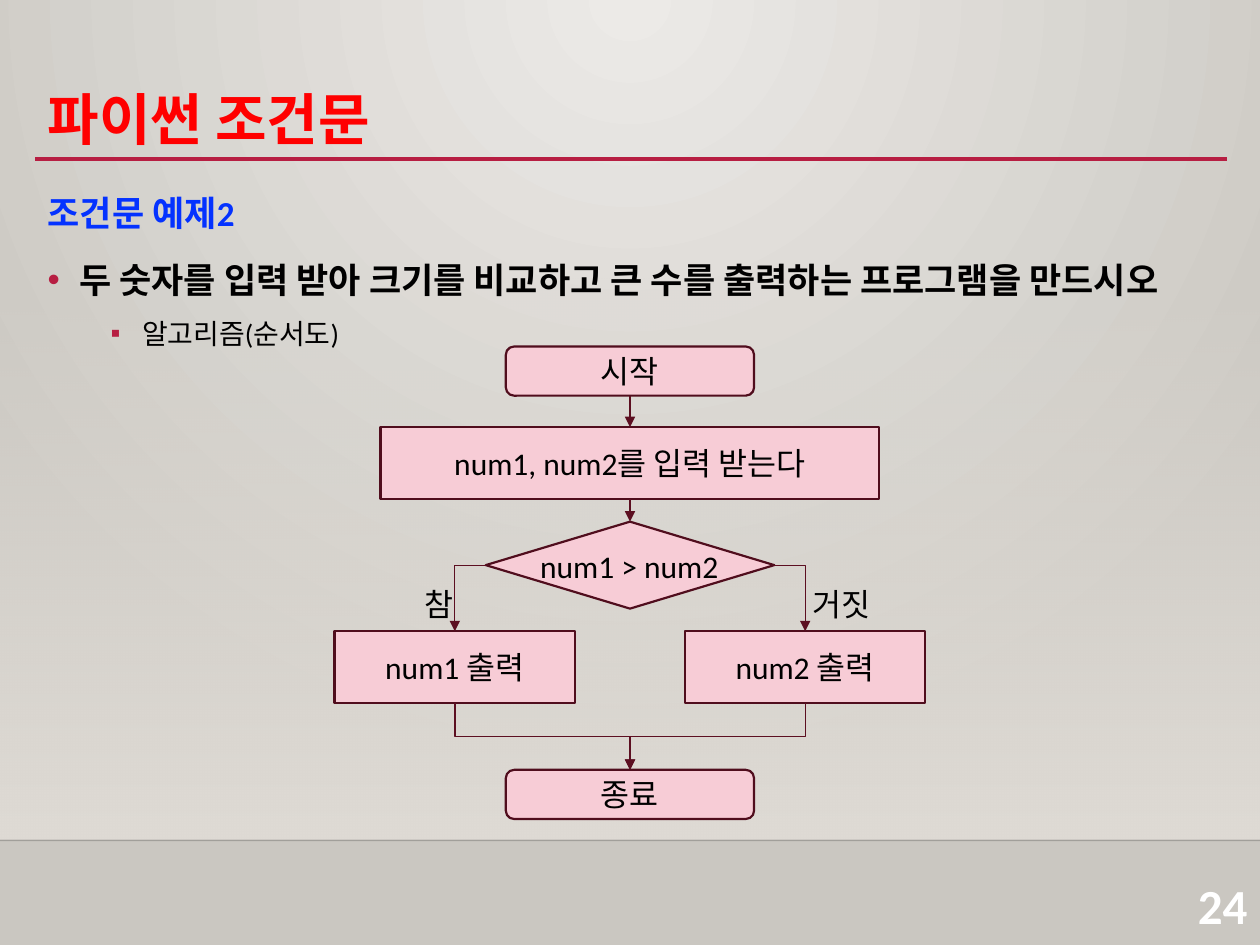
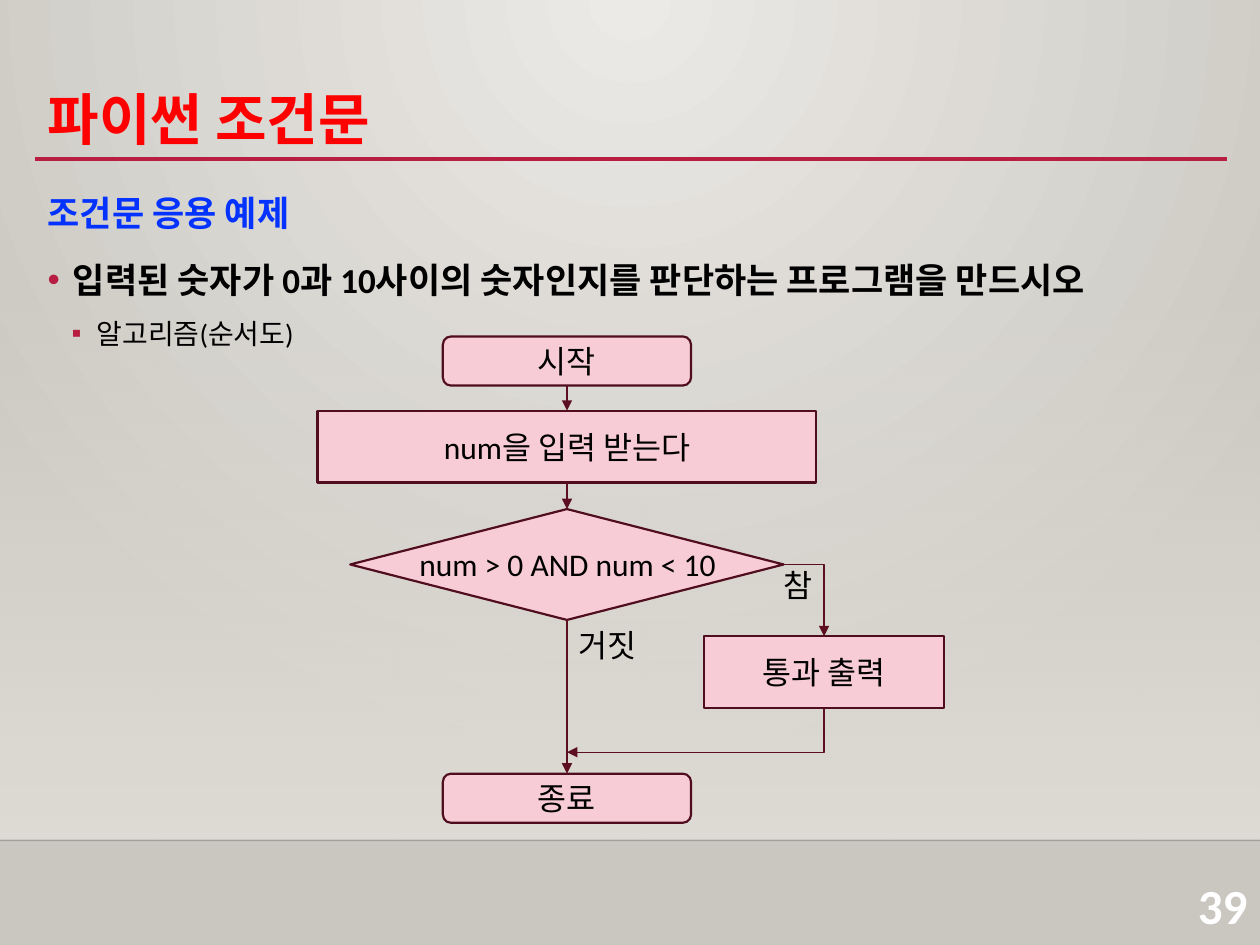
from dataclasses import dataclass

from lxml import etree
from pptx import Presentation, util as u
from pptx.dml.color import RGBColor
from pptx.enum import shapes, text
from pptx.oxml.ns import qn

Inches = u.Inches
KIND = shapes.MSO_SHAPE
ALIGN = text.PP_ALIGN


@dataclass(frozen=True)
class Theme:
    font: str = "Calibri"
    glow: str = "ECEAE7"
    edge: str = "CAC7C1"
    floor: str = "DFDBD5"
    dark: str = "000001"
    ink: str = "000000"
    white: str = "FFFFFF"
    title: str = "FF0000"
    head: str = "0432FF"
    accent: str = "B71E42"
    fill: str = "F7CCD6"
    border: str = "500D1D"
    arrow: str = "5C0F21"
    title_pt: int = 32
    page_pt: int = 28
    body_pt: int = 20
    flow_pt: int = 18
    sub_pt: int = 16


def add(parent, tag, **attrs):
    return etree.SubElement(parent, qn(tag), attrs)


def fade(shape, percent):
    """Make the first colour of a shape partly transparent."""
    color = next(shape.element.iter(qn("a:srgbClr")))
    add(color, "a:alpha", val=str(percent * 1000))


class Deck:
    # Box sizes of the flowchart
    END = (1.97, 0.39)
    STEP = (3.96, 0.57)
    OUT = (1.91, 0.57)

    def __init__(self, theme):
        self.theme = theme
        self.prs = Presentation()
        self.prs.slide_width, self.prs.slide_height = Inches(10), Inches(7.5)
        self.slide = None
        self.backdrop()

    def backdrop(self):
        master = self.prs.slide_master
        self.blend(master.background.fill, self.theme.glow, self.theme.edge)
        grad = next(master.element.iter(qn("a:gradFill")))
        grad.remove(grad.find(qn("a:lin")))
        path = add(grad, "a:path", path="circle")
        add(path, "a:fillToRect", l="43000", t="0", r="43000", b="100000")

    def blend(self, fill, *colors):
        fill.gradient()
        for stop, color in zip(fill.gradient_stops, colors):
            stop.color.rgb = RGBColor.from_string(color)

    def style(self, para, size, color, bold=False, align=None):
        para.alignment = align
        for run in para.runs:
            font = run.font
            font.name, font.size, font.bold = self.theme.font, u.Pt(size), bold
            font.color.rgb = RGBColor.from_string(color)

    def page(self, title, number):
        look = self.theme
        self.slide = self.prs.slides.add_slide(self.prs.slide_layouts[5])
        # Floor shade and divider
        floor = self.shape(KIND.RECTANGLE, 0, 2.2, 10, 4.46)
        self.blend(floor.fill, look.floor, look.floor)
        floor.fill.gradient_angle = 270
        floor.line.fill.background()
        fade(floor, 0)
        fade(self.line((0, 6.67), (10, 6.67), look.dark, 1), 20)
        # Page number
        box = self.box(9.13, 6.9, 0.87, 0.55)
        box.text = str(number)
        self.style(box.paragraphs[0], look.page_pt, look.white, True, ALIGN.RIGHT)
        # Title and its rule
        self.line((0.28, 1.26), (9.74, 1.26), look.accent, 2.5)
        head = self.slide.shapes.title
        head.left, head.top = Inches(0.28), Inches(0.11)
        head.width, head.height = Inches(9.45), Inches(1.15)
        frame = head.text_frame
        frame.text = title
        frame.vertical_anchor = text.MSO_ANCHOR.BOTTOM
        frame.auto_size = text.MSO_AUTO_SIZE.NONE
        frame.paragraphs[0].line_spacing = 0.9
        self.style(frame.paragraphs[0], look.title_pt, look.title, True, ALIGN.LEFT)

    def box(self, left, top, width, height):
        area = map(Inches, (left, top, width, height))
        frame = self.slide.shapes.add_textbox(*area).text_frame
        frame.word_wrap = True
        return frame

    def body(self, head, task, note, indent, inner):
        """Heading, task and note; inner is the left margin of the note."""
        look = self.theme
        frame = self.box(0.28, 1.4, 9.45, 5.22)
        frame.text = "\n".join((head, task, note))
        first, main, sub = frame.paragraphs
        self.bullet(main, "•", indent, indent)
        self.bullet(sub, "▪", inner, indent)
        sub.level = 1
        for para in frame.paragraphs:
            para.line_spacing = 1.2
        main.space_before, sub.space_before = u.Pt(10), u.Pt(5)
        self.style(first, look.body_pt, look.head, True)
        self.style(main, look.body_pt, look.ink, True)
        self.style(sub, look.sub_pt, look.ink)

    def bullet(self, para, char, margin, hang):
        props = para._p.get_or_add_pPr()
        props.set("marL", str(Inches(margin)))
        props.set("indent", str(-Inches(hang)))
        add(add(props, "a:buClr"), "a:srgbClr", val=self.theme.accent)
        add(props, "a:buFont", typeface="Arial")
        add(props, "a:buChar", char=char)

    def shape(self, kind, left, top, width, height):
        area = map(Inches, (left, top, width, height))
        shape = self.slide.shapes.add_shape(kind, *area)
        shape.shadow.inherit = False
        return shape

    def node(self, kind, mid, top, size, words=""):
        """A flowchart box centred on mid."""
        look = self.theme
        shape = self.shape(kind, mid - size[0] / 2, top, *size)
        shape.fill.solid()
        shape.fill.fore_color.rgb = RGBColor.from_string(look.fill)
        shape.line.color.rgb = RGBColor.from_string(look.border)
        shape.line.width = u.Pt(1.25)
        if words:
            frame = shape.text_frame
            frame.text = words
            frame.vertical_anchor = text.MSO_ANCHOR.MIDDLE
            self.style(frame.paragraphs[0], look.flow_pt, look.ink, align=ALIGN.CENTER)

    def end(self, mid, top, words):
        self.node(KIND.FLOWCHART_ALTERNATE_PROCESS, mid, top, self.END, words)

    def step(self, mid, top, size, words):
        self.node(KIND.RECTANGLE, mid, top, size, words)

    def label(self, left, top, width, words, height=0.37, align=ALIGN.LEFT):
        frame = self.box(left, top, width, height)
        frame.word_wrap = False
        frame.auto_size = text.MSO_AUTO_SIZE.SHAPE_TO_FIT_TEXT
        frame.text = words
        self.style(frame.paragraphs[0], self.theme.flow_pt, self.theme.ink, align=align)

    def line(self, start, stop, color, width, kind=shapes.MSO_CONNECTOR.STRAIGHT):
        ends = map(Inches, (*start, *stop))
        line = self.slide.shapes.add_connector(kind, *ends)
        line.line.color.rgb = RGBColor.from_string(color)
        line.line.width = u.Pt(width)
        add(line.element.spPr, "a:effectLst")
        return line

    def arrow(self, start, stop, kind=shapes.MSO_CONNECTOR.STRAIGHT):
        line = self.line(start, stop, self.theme.arrow, 0.75, kind)
        add(line.element.spPr.find(qn("a:ln")), "a:tailEnd", type="triangle")
        return line

    def bend(self, start, stop, down=False, turns=1):
        """An elbow arrow that leaves sideways, or downwards if down is set."""
        (x1, y1), (x2, y2) = start, stop
        wide, high = abs(x2 - x1), abs(y2 - y1)
        if down:
            wide, high = high, wide
        left, top = (x1 + x2 - wide) / 2, (y1 + y2 - high) / 2
        line = self.arrow((left, top), (left + wide, top + high),
                          shapes.MSO_CONNECTOR.ELBOW)
        props = line.element.spPr
        props.find(qn("a:prstGeom")).set("prst", f"bentConnector{turns + 1}")
        # Turn and mirror by the way it leaves and the side it heads for
        angle, flip = {
            (False, True): (0, None),
            (False, False): (180, "flipV"),
            (True, False): (90, None),
            (True, True): (270, "flipH"),
        }[down, x2 > x1]
        frame = props.find(qn("a:xfrm"))
        if angle:
            frame.set("rot", str(angle * 60000))
        if flip:
            frame.set(flip, "1")


def compare(deck):
    deck.page("파이썬 조건문", 24)
    deck.body("조건문 예제2",
              "두 숫자를 입력 받아 크기를 비교하고 큰 수를 출력하는 프로그램을 만드시오",
              "알고리즘(순서도)", 0.25, 0.75)
    mid, side = 5, 1.39
    # Boxes
    deck.end(mid, 2.75, "시작")
    deck.step(mid, 3.39, deck.STEP, "num1, num2를 입력 받는다")
    deck.node(KIND.FLOWCHART_DECISION, mid, 4.14, (2.29, 0.69))
    deck.label(4.16, 4.29, 1.67, "num1 > num2", align=ALIGN.CENTER)
    deck.end(mid, 6.11, "종료")
    # Arrows down the middle
    deck.arrow((mid, 3.14), (mid, 3.39))
    deck.arrow((mid, 3.96), (mid, 4.14))
    # Both branches
    for sign, words in ((-1, "num1 출력"), (1, "num2 출력")):
        branch = mid + sign * side
        deck.step(branch, 5.01, deck.OUT, words)
        deck.bend((mid + sign * 1.14, 4.49), (branch, 5.01))
        deck.bend((branch, 5.58), (mid, 6.11), down=True, turns=2)
    deck.label(3.27, 4.59, 0.47, "참")
    deck.label(6.35, 4.59, 0.72, "거짓")


def between(deck):
    deck.page("파이썬 조건문", 39)
    deck.body("조건문 응용 예제",
              "입력된 숫자가 0과 10사이의 숫자인지를 판단하는 프로그램을 만드시오",
              "알고리즘(순서도)", 0.2, 0.39)
    mid, branch = 4.5, 6.54
    # Boxes
    deck.end(mid, 2.67, "시작")
    deck.step(mid, 3.26, deck.STEP, "num을 입력 받는다")
    deck.node(KIND.FLOWCHART_DECISION, mid, 4.04, (3.44, 0.88))
    deck.label(3.15, 4.28, 2.71, "num > 0 AND num < 10", 0.4, ALIGN.CENTER)
    deck.step(branch, 5.05, deck.OUT, "통과 출력")
    deck.end(mid, 6.14, "종료")
    # Arrows
    for top, foot in ((3.06, 3.26), (3.83, 4.04), (4.91, 6.14)):
        deck.arrow((mid, top), (mid, foot))
    deck.bend((6.22, 4.48), (branch, 5.05))
    deck.bend((branch, 5.62), (mid, 5.97), down=True)
    # Branch labels
    deck.label(6.12, 4.44, 0.47, "참")
    deck.label(4.49, 4.92, 0.71, "거짓", 0.4)


def main():
    deck = Deck(Theme())
    compare(deck)
    between(deck)
    deck.prs.save("out.pptx")


if __name__ == "__main__":
    main()
